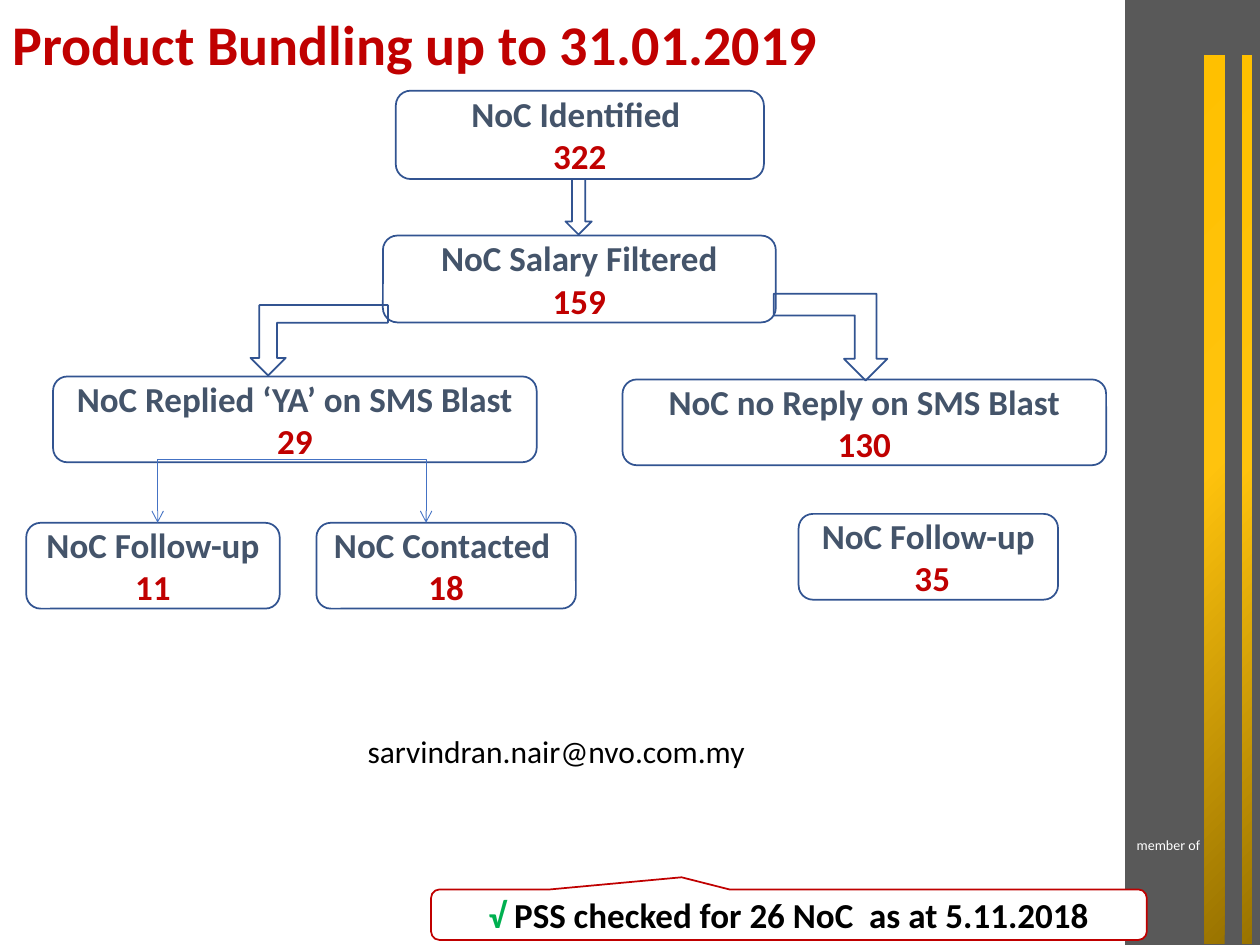
from lxml.etree import SubElement
from pptx import Presentation
from pptx.dml.color import RGBColor
from pptx.enum.shapes import MSO_CONNECTOR, MSO_SHAPE
from pptx.enum.text import MSO_ANCHOR, MSO_AUTO_SIZE, PP_ALIGN
from pptx.oxml import parse_xml
from pptx.oxml.ns import nsdecls, qn
from pptx.util import Cm, Pt

COLORS = {
    "panel": "595959", "gold": "FFC000", "amber": "FFC30D", "bronze": "997300",
    "white": "FFFFFF", "black": "000000", "red": "C00000", "green": "00B050",
    "slate": "44546A", "outline": "325491", "branch": "4472C4",
}
FONT = "Calibri"
STEPS = [
    ("NoC Identified ", "322", (7.98, 1.83, 7.42, 1.78)),
    ("NoC Salary Filtered", "159", (7.72, 4.75, 7.92, 1.75)),
    ("NoC Replied ‘YA’ on SMS Blast", "29", (1.07, 7.59, 9.75, 1.73)),
    ("NoC no Reply on SMS Blast", "130", (12.55, 7.65, 9.75, 1.73)),
    ("NoC Follow-up", "11", (0.53, 10.54, 5.11, 1.73)),
    ("NoC Contacted ", "18", (6.38, 10.54, 5.23, 1.73)),
    ("NoC Follow-up", " 35", (16.1, 10.36, 5.23, 1.73)),
]


def color(name):
    return RGBColor.from_string(COLORS[name])


def style_span(span, size, ink, bold=False):
    span.font.name = FONT
    span.font.size = Pt(size)
    span.font.bold = bold
    span.font.color.rgb = color(ink)


def add_span(para, text, size, ink, bold=False):
    span = para.add_run()
    span.text = text
    style_span(span, size, ink, bold)


def add_block(page, kind, place, fill=None, line=None):
    block = page.shapes.add_shape(kind, *map(Cm, place))
    block.shadow.inherit = False
    if fill:
        block.fill.solid()
        block.fill.fore_color.rgb = color(fill)
    else:
        block.fill.background()
    if line:
        block.line.color.rgb = color(line)
        block.line.width = Pt(1)
    else:
        block.line.fill.background()
    return block


def add_gold_bar(page, left, width):
    bar = add_block(page, MSO_SHAPE.RECTANGLE, (left, 1.12, width, 17.91), "gold")
    stops = "".join(
        f'<a:gs pos="{position}"><a:srgbClr val="{COLORS[name]}"/></a:gs>'
        for position, name in ((0, "gold"), (46000, "amber"), (100000, "bronze"))
    )
    gradient = parse_xml(
        f'<a:gradFill {nsdecls("a")} rotWithShape="1"><a:gsLst>{stops}</a:gsLst>'
        '<a:path path="circle"><a:fillToRect r="100000" b="100000"/></a:path></a:gradFill>'
    )
    properties = bar._element.spPr
    properties.replace(properties.find(qn("a:solidFill")), gradient)


def add_title(page, text):
    title = page.shapes.title
    title.left, title.top, title.width, title.height = map(Cm, (0, 0, 24.13, 1.9))
    frame = title.text_frame
    frame.text = text
    frame.auto_size = MSO_AUTO_SIZE.NONE
    frame.vertical_anchor = MSO_ANCHOR.MIDDLE
    para = frame.paragraphs[0]
    para.alignment = PP_ALIGN.LEFT
    para.line_spacing = 0.9
    style_span(para.runs[0], 32, "red", True)


def add_label(page, text, place, size, ink, alignment):
    label = page.shapes.add_textbox(*map(Cm, place))
    frame = label.text_frame
    frame.word_wrap = True
    frame.text = text
    para = frame.paragraphs[0]
    para.alignment = alignment
    style_span(para.runs[0], size, ink)


def add_step(page, name, count, place):
    box = add_block(page, MSO_SHAPE.ROUNDED_RECTANGLE, place, line="outline")
    frame = box.text_frame
    frame.vertical_anchor = MSO_ANCHOR.MIDDLE
    frame.text = f"{name}\n{count}"
    for para, ink in zip(frame.paragraphs, ("slate", "red")):
        para.alignment = PP_ALIGN.CENTER
        style_span(para.runs[0], 20, ink, True)


def add_bent_arrow(page, place, mirrored=False):
    arrow = add_block(page, MSO_SHAPE.BENT_UP_ARROW, place, line="outline")
    arrow.rotation = 180
    if mirrored:
        arrow._element.spPr.find(qn("a:xfrm")).set("flipH", "1")


def add_branch(page, start, end):
    branch = page.shapes.add_connector(MSO_CONNECTOR.ELBOW, *map(Cm, start + end))
    branch.line.color.rgb = color("branch")
    branch.line.width = Pt(0.5)
    properties = branch._element.spPr
    properties.find(qn("a:prstGeom")).set("prst", "bentConnector2")
    SubElement(properties.find(qn("a:ln")), qn("a:tailEnd"), type="arrow")
    SubElement(properties, qn("a:effectLst"))


def add_callout(page):
    callout = add_block(page, MSO_SHAPE.ROUNDED_RECTANGULAR_CALLOUT,
                        (8.69, 17.93, 14.43, 1.02), "white", "red")
    for index, value in enumerate((-0.15, -0.74, 0.17)):
        callout.adjustments[index] = value
    frame = callout.text_frame
    frame.vertical_anchor = MSO_ANCHOR.MIDDLE
    para = frame.paragraphs[0]
    para.alignment = PP_ALIGN.CENTER
    add_span(para, "√ ", 20, "green", True)
    add_span(para, "PSS checked for 26 NoC  as at 5.11.2018", 20, "black", True)


def main():
    deck = Presentation()
    deck.slide_width, deck.slide_height = Cm(25.4), Cm(19.05)
    page = deck.slides.add_slide(deck.slide_layouts[5])
    add_block(page, MSO_SHAPE.RECTANGLE, (22.68, 0, 2.72, 19.05), "panel")
    add_gold_bar(page, 24.28, 0.41)
    add_gold_bar(page, 25.04, 0.2)
    add_label(page, "member of", (22.5, 16.74, 2.11, 0.58), 8, "white", PP_ALIGN.CENTER)
    add_title(page, "Product Bundling up to 31.01.2019")
    add_block(page, MSO_SHAPE.DOWN_ARROW, (11.4, 3.61, 0.53, 1.12), "white", "outline")
    for name, count, place in STEPS:
        add_step(page, name, count, place)
    add_bent_arrow(page, (5.05, 6.15, 2.77, 1.42))
    add_bent_arrow(page, (15.6, 5.92, 2.29, 1.75), mirrored=True)
    for end in (3.18, 8.59):
        add_branch(page, (6.03, 9.27), (end, 10.54))
    add_label(page, "sarvindran.nair@nvo.com.my", (7.16, 14.63, 9.02, 1.02),
              18, "black", PP_ALIGN.LEFT)
    add_callout(page)
    deck.save("out.pptx")


if __name__ == "__main__":
    main()
